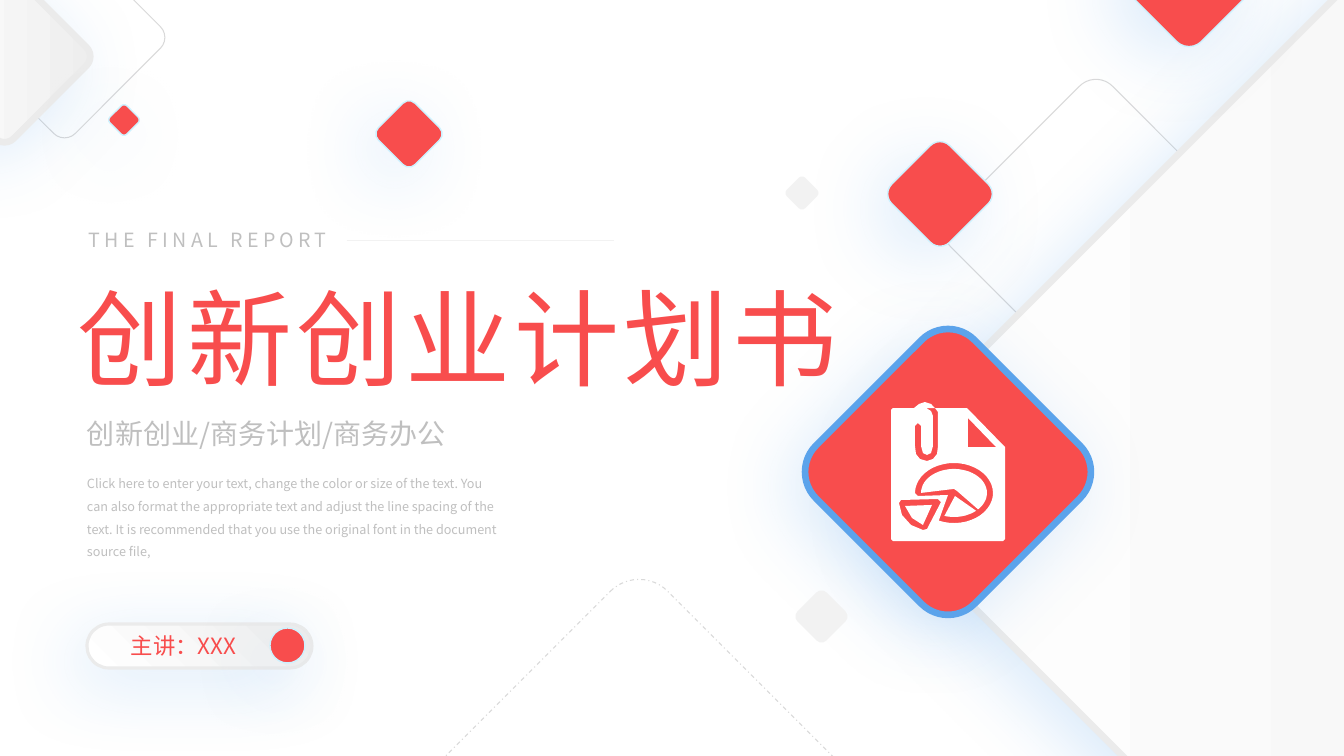
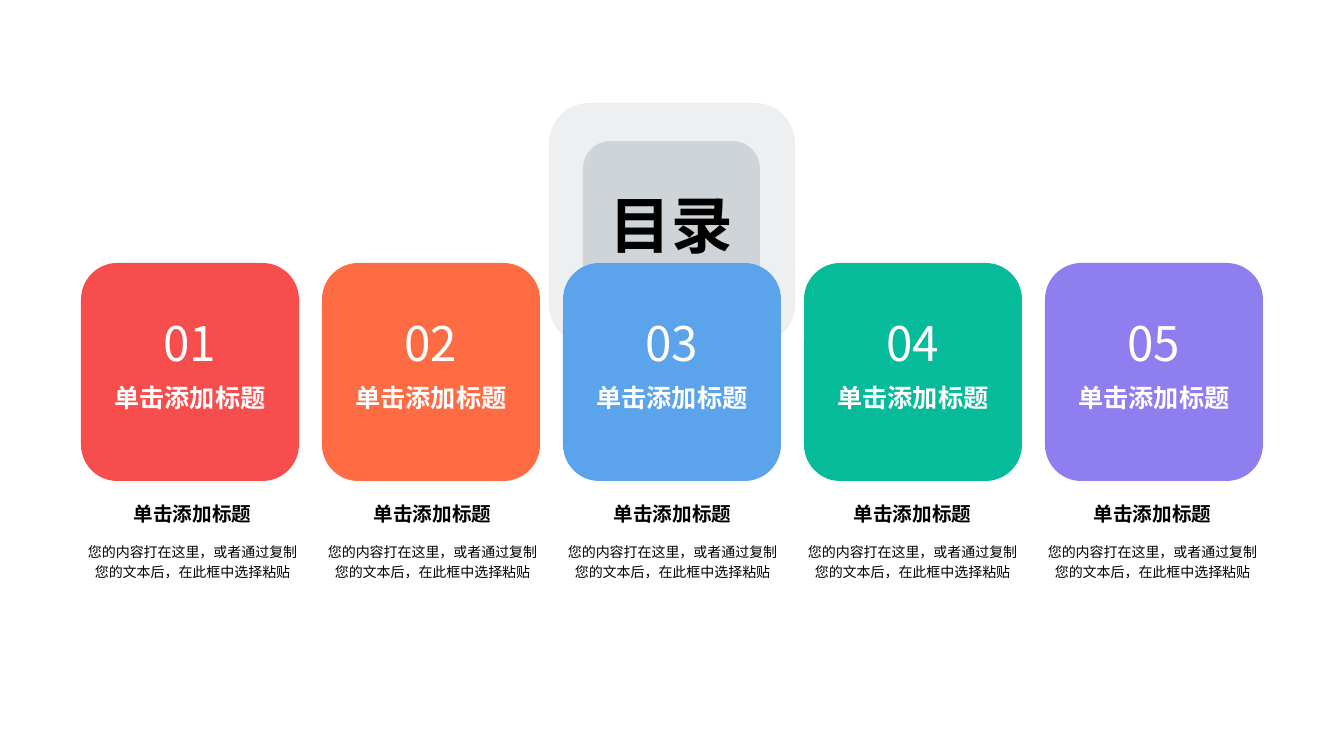
from math import cos, radians, sin

from lxml.etree import SubElement
from pptx import Presentation
from pptx.dml.color import RGBColor
from pptx.enum.dml import MSO_LINE
from pptx.enum.shapes import MSO_CONNECTOR, MSO_SHAPE as SHAPE
from pptx.enum.text import MSO_ANCHOR as ANCHOR, MSO_AUTO_SIZE, PP_ALIGN as ALIGN
from pptx.oxml.ns import qn
from pptx.util import Emu, Pt

PX = 12192000 / 1344
FONT = "Noto Sans CJK SC"
C = {
    "red": "F84D4D", "orange": "FF6B42", "blue": "5BA3EB", "green": "06BB9A",
    "purple": "8E7EF0", "white": "FFFFFF", "black": "000000", "text": "BFBFBF",
    "outline": "D9D9D9", "rim": "EBEBEB", "shade": "EEEEEE", "pale": "F2F2F2",
    "ice": "CDF2FF", "slate": "778495", "glow": "4999E9",
}
C = {name: RGBColor.from_string(value) for name, value in C.items()}


def write(sp, text, at, size, color, bold=False, align=ALIGN.LEFT, spc=0,
          line=1.0, margins=(0, 0), wrap=True, anchor=ANCHOR.MIDDLE):
    sp.left, sp.top, sp.width, sp.height = [Emu(round(v * PX)) for v in at]
    tf = sp.text_frame
    tf.auto_size = MSO_AUTO_SIZE.NONE
    tf.word_wrap = wrap
    tf.vertical_anchor = anchor
    tf.margin_left = tf.margin_right = Emu(round(margins[0] * PX))
    tf.margin_top = tf.margin_bottom = Emu(round(margins[1] * PX))
    p = tf.paragraphs[0]
    p.alignment, p.line_spacing, p.space_before = align, line, Pt(0)
    r = p.add_run()
    r.text = text
    r.font.size, r.font.bold, r.font.name = Pt(size), bold, FONT
    r.font.color.rgb = C[color]
    rPr = r.font._element
    SubElement(rPr, qn("a:ea"), typeface=FONT)
    if spc:
        rPr.set("spc", str(spc * 100))


def box(s, kind, at, fill=None, line=None, width=1.0, rot=0, adj=None,
        alpha=None, glow=False, stop=1.0, dash=None):
    sp = s.shapes.add_shape(kind, *[Emu(round(v * PX)) for v in at])
    sp.rotation = rot
    sp.shadow.inherit = False
    if adj is not None:
        sp.adjustments[0] = adj
    if fill == "gradient":
        sp.fill.gradient()
        sp.fill.gradient_angle = 45
        first, last = sp.fill.gradient_stops
        first.color.rgb, last.color.rgb = C["white"], C["shade"]
        first.position, last.position = 0, stop
    elif fill:
        sp.fill.solid()
        sp.fill.fore_color.rgb = C[fill]
    else:
        sp.fill.background()
    spPr = sp.element.spPr
    if alpha:
        SubElement(spPr.find(".//" + qn("a:srgbClr")), qn("a:alpha"), val=str(alpha * 1000))
    if line:
        sp.line.color.rgb = C[line]
        sp.line.width = Pt(width)
        if dash:
            sp.line.dash_style = dash
    else:
        sp.line.fill.background()
    if glow:
        shadow = SubElement(spPr.find(qn("a:effectLst")), qn("a:outerShdw"),
                            blurRad=str(Pt(55)), dist=str(Pt(15)), dir="8100000",
                            algn="tr", rotWithShape="0")
        color = SubElement(shadow, qn("a:srgbClr"), val=str(C["glow"]))
        SubElement(color, qn("a:alpha"), val="20000")
    return sp


prs = Presentation()
prs.slide_width, prs.slide_height = Emu(12192000), Emu(6858000)

s = prs.slides.add_slide(prs.slide_layouts[0])
outline = dict(line="outline", width=0.75, adj=0.102)
panel = dict(fill="gradient", line="rim", width=4.75, adj=0.102, glow=True)
accent = dict(fill="red", line="ice", glow=True)
pale = dict(fill="pale")
diamonds = [
    (982, 117, 228, outline),
    (1043, 16, 934, {**panel, "stop": 0.85}),
    (-11, -38, 151, outline),
    (-60, -8, 129, panel),
    (836, 360, 224, {**accent, "line": "blue", "width": 4.75}),
    (1136, -74, 106, accent),
    (383, 108, 52, accent),
    (899, 153, 82, accent),
    (789, 180, 26, pale),
    (801, 596, 41, pale),
    (112, 108, 24, accent),
    (440, 645, 398, {**outline, "dash": MSO_LINE.DASH_DOT}),
]
for x, y, side, style in diamonds:
    box(s, SHAPE.ROUNDED_RECTANGLE, (x, y, side, side), rot=45, **style)

write(s.shapes.title, "创新创业计划书", (68, 268, 876, 137), 75, "red", spc=3, margins=(10, 5))
write(s.placeholders[1], "创新创业/商务计划/商务办公", (87, 416, 416, 34), 20, "text")
write(s.shapes.add_textbox(0, 0, 0, 0), "THE FINAL REPORT", (79, 223, 312, 34), 14, "text",
      spc=3, margins=(10, 5))
write(s.shapes.add_textbox(0, 0, 0, 0),
      "Click here to enter your text, change the color or size of the text. "
      "You can also format the appropriate text and adjust the line spacing of the text. "
      "It is recommended that you use the original font in the document source file,",
      (87, 469, 416, 90), 9, "text", line=1.5)

rule = s.shapes.add_connector(MSO_CONNECTOR.STRAIGHT,
                              *[Emu(round(v * PX)) for v in (347, 240, 614, 240)])
rule.line.color.rgb = C["pale"]
rule.line.width = Pt(0.5)
SubElement(rule.element.spPr, qn("a:effectLst"))

box(s, SHAPE.ROUNDED_RECTANGLE, (87, 624, 225, 44), fill="gradient", line="rim", width=2.25,
    adj=0.5, glow=True)
box(s, SHAPE.OVAL, (270, 628, 35, 35), **accent)
write(s.shapes.add_textbox(0, 0, 0, 0), "主讲：XXX", (123, 632, 121, 27), 16, "red",
      align=ALIGN.CENTER)

arcs = [
    (39, 30, 180, 473, [(948, 495), (918, 496)]),
    (33, 24, 180, 403, [(957, 491), (954, 489)]),
    (33, 24, 48, 107, [(955, 496)]),
]
pie_hole, top_slice, small_slice = [
    [(954 + rx * cos(radians(start + (end - start) * i / 36)),
      493 + ry * sin(radians(start + (end - start) * i / 36))) for i in range(37)] + corners
    for rx, ry, start, end, corners in arcs
]
page = [
    (967, 408), (1005, 447), (1005, 539), (1003, 541), (893, 541), (891, 539), (891, 410),
    (893, 408), (914, 408), (919, 404), (925, 402), (931, 404), (935, 408),
    (938, 412), (938, 446), (937, 454), (933, 459), (927, 461), (920, 459), (916, 454),
    (915, 446), (915, 426), (918, 423), (921, 426), (921, 446), (923, 453), (927, 455),
    (931, 453), (933, 446), (933, 416), (931, 411), (926, 408),
]
fold = [(968, 418), (996, 447), (968, 447)]
wedge_hole = [(923, 530), (911, 525), (902, 515), (899, 503), (901, 500), (938, 499),
              (941, 502), (940, 504), (927, 529)]
wedge = [(923, 525), (932, 505), (905, 506), (912, 518)]
for contours in ([page, fold, wedge_hole, pie_hole], [top_slice], [small_slice], [wedge]):
    contours = [[(x * 10, y * 10) for x, y in points] for points in contours]
    fb = s.shapes.build_freeform(*contours[0][0], scale=PX / 10)
    fb.add_line_segments(contours[0][1:])
    for points in contours[1:]:
        fb.move_to(*points[0])
        fb.add_line_segments(points[1:])
    sp = fb.convert_to_shape()
    sp.shadow.inherit = False
    sp.fill.solid()
    sp.fill.fore_color.rgb = C["white"]
    sp.line.fill.background()

s = prs.slides.add_slide(prs.slide_layouts[5])
box(s, SHAPE.ROUNDED_RECTANGLE, (549, 103, 246, 242), fill="slate", alpha=13)
box(s, SHAPE.ROUNDED_RECTANGLE, (583, 141, 177, 166), fill="slate", alpha=25)
title = s.shapes.title
write(title, "目录", (583, 141, 177, 166), 44, "black", bold=True, align=ALIGN.CENTER)
title.element.getparent().append(title.element)

heading = dict(wrap=False, margins=(10, 5), anchor=ANCHOR.TOP)
for i, color in enumerate(["red", "orange", "blue", "green", "purple"]):
    x = 81 + 241 * i
    box(s, SHAPE.ROUNDED_RECTANGLE, (x, 263, 218, 218), fill=color)
    caption_x = 80 + 240 * i
    labels = [
        (f"{i + 1:02}", (x + 20, 306, 178, 68), 34, "white", heading),
        ("单击添加标题", (x + 20, 374, 178, 68), 18, "white", {**heading, "bold": True}),
        ("单击添加标题", (caption_x, 498, 225, 31), 14, "black", dict(bold=True, wrap=False)),
        ("您的内容打在这里，或者通过复制您的文本后，在此框中选择粘贴",
         (caption_x, 529, 225, 63), 10, "black", dict(line=1.2)),
    ]
    for text, at, size, ink, style in labels:
        write(box(s, SHAPE.ROUNDED_RECTANGLE, at), text, at, size, ink,
              align=ALIGN.CENTER, **style)

prs.save("out.pptx")
